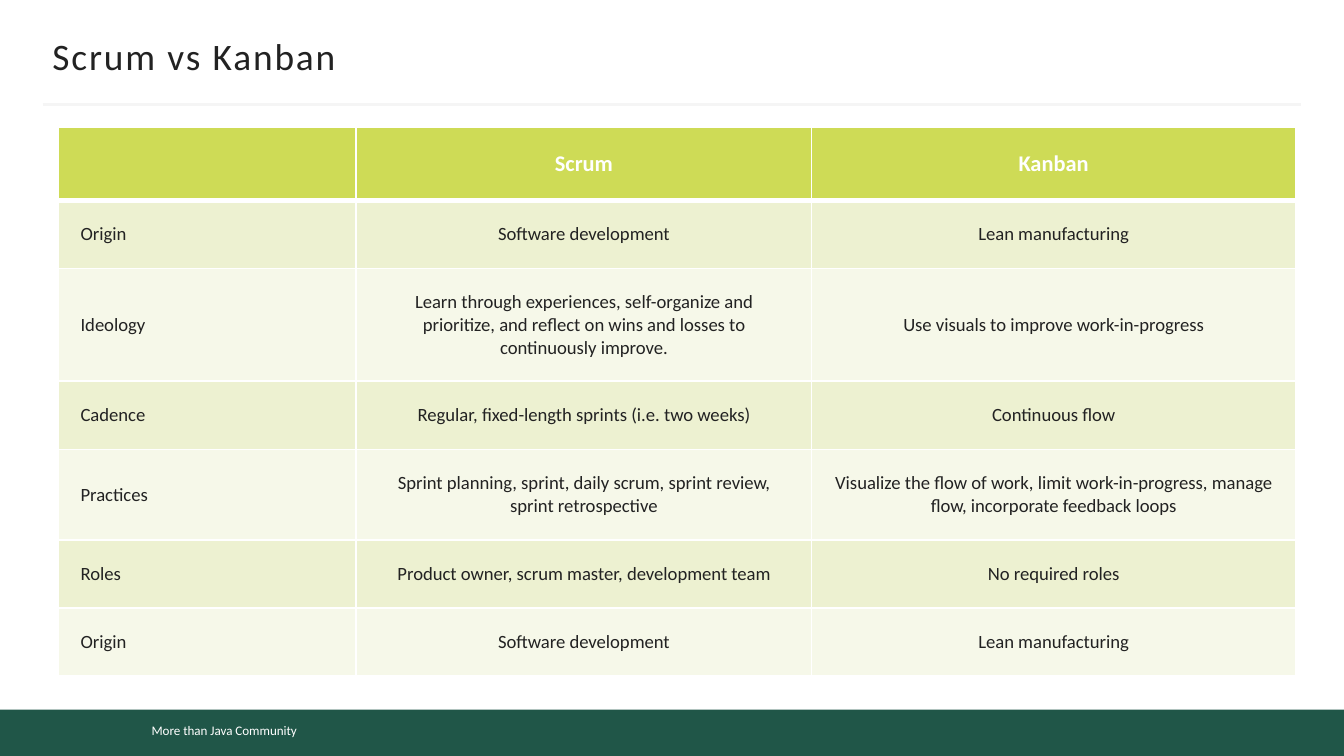
import dataclasses

import pptx
import pptx.dml.color
import pptx.enum.shapes
import pptx.enum.text
import pptx.oxml.ns
import pptx.util
from lxml import etree


@dataclasses.dataclass(frozen=True)
class Theme:
    font: str = "Calibri"
    ink: str = "222222"
    white: str = "FFFFFF"
    rule: str = "F5F5F5"
    footer: str = "205648"
    header: str = "CEDB56"
    bands: tuple = ("EDF1D1", "F6F8E9")
    title_size: int = 20
    header_size: int = 12
    body_size: int = 10
    footer_size: int = 7
    thin: float = 1
    medium: float = 1.5
    thick: float = 3
    unit: float = 0.1
    cell_inset: float = 1.7


class SlideBuilder:
    def __init__(self, deck, theme):
        self.theme = theme
        self.page = deck.slides.add_slide(deck.slide_layouts[6])

    def grid(self, *lengths):
        return [pptx.util.Inches(length * self.theme.unit) for length in lengths]

    def color(self, value):
        return pptx.dml.color.RGBColor.from_string(value)

    def format_text(self, frame, size, color, bold=False, spacing=0, align=None):
        for para in frame.paragraphs:
            para.alignment = align
            for span in para.runs:
                span.font.name = self.theme.font
                span.font.size = pptx.util.Pt(size)
                span.font.bold = bold
                span.font.color.rgb = self.color(color)
                if spacing:
                    span.font._element.set("spc", str(spacing * 100))

    def bar(self, area, fill):
        shape = self.page.shapes.add_shape(
            pptx.enum.shapes.MSO_SHAPE.RECTANGLE, *self.grid(*area))
        shape.shadow.inherit = False
        shape.fill.solid()
        shape.fill.fore_color.rgb = self.color(fill)
        shape.line.fill.background()

    def text(self, area, words, size, color, inset=1, spacing=0,
             anchor=pptx.enum.text.MSO_ANCHOR.TOP):
        box = self.page.shapes.add_textbox(*self.grid(*area))
        frame = box.text_frame
        frame.word_wrap = True
        frame.vertical_anchor = anchor
        frame.margin_left, frame.margin_right = self.grid(inset, inset)
        frame.text = words
        self.format_text(frame, size, color, spacing=spacing)

    def line(self, ends, color, width):
        rule = self.page.shapes.add_connector(
            pptx.enum.shapes.MSO_CONNECTOR.STRAIGHT, *self.grid(*ends))
        rule.line.color.rgb = self.color(color)
        rule.line.width = pptx.util.Pt(width)
        etree.SubElement(rule._element.spPr, pptx.oxml.ns.qn("a:effectLst"))

    def borders(self, cell, top, bottom):
        properties = cell._tc.get_or_add_tcPr()
        thin = self.theme.thin
        for side, width in (("L", thin), ("R", thin), ("T", top), ("B", bottom)):
            edge = etree.SubElement(properties, pptx.oxml.ns.qn(f"a:ln{side}"),
                                    w=str(pptx.util.Pt(width)))
            fill = etree.SubElement(edge, pptx.oxml.ns.qn("a:solidFill"))
            etree.SubElement(fill, pptx.oxml.ns.qn("a:srgbClr"), val=self.theme.white)

    def cell(self, cell, words, row, column):
        theme = self.theme
        is_header = row == 0
        self.borders(cell, theme.thick if row == 1 else theme.thin,
                     theme.thick if is_header else theme.thin)
        cell.fill.solid()
        cell.fill.fore_color.rgb = self.color(
            theme.header if is_header else theme.bands[(row - 1) % 2])
        if not words:
            return
        inset, = self.grid(theme.cell_inset)
        cell.margin_left = cell.margin_right = inset
        cell.margin_top = cell.margin_bottom = inset
        cell.vertical_anchor = pptx.enum.text.MSO_ANCHOR.MIDDLE
        cell.text_frame.text = words
        aligns = pptx.enum.text.PP_ALIGN
        self.format_text(
            cell.text_frame,
            theme.header_size if is_header else theme.body_size,
            theme.white if is_header else theme.ink,
            bold=is_header, align=aligns.CENTER if column else aligns.LEFT)

    def table(self, left, top, widths, heights, rows):
        area = self.grid(left, top, sum(widths), sum(heights))
        table = self.page.shapes.add_table(len(rows), len(widths), *area).table
        for column, width in zip(table.columns, self.grid(*widths)):
            column.width = width
        for line, height in zip(table.rows, self.grid(*heights)):
            line.height = height
        for row, entries in enumerate(rows):
            for column, words in enumerate(entries):
                self.cell(table.cell(row, column), words, row, column)


COMPARISON = [
    ("", "Scrum", "Kanban"),
    ("Origin", "Software development", "Lean manufacturing"),
    ("Ideology",
     "Learn through experiences, self-organize and prioritize, "
     "and reflect on wins and losses to continuously improve.",
     "Use visuals to improve work-in-progress"),
    ("Cadence", "Regular, fixed-length sprints (i.e. two weeks)", "Continuous flow"),
    ("Practices",
     "Sprint planning, sprint, daily scrum, sprint review, sprint retrospective",
     "Visualize the flow of work, limit work-in-progress, manage flow, "
     "incorporate feedback loops"),
    ("Roles", "Product owner, scrum master, development team", "No required roles"),
    ("Origin", "Software development", "Lean manufacturing"),
]


def main():
    theme = Theme()
    deck = pptx.Presentation()
    deck.slide_width = pptx.util.Inches(100 * theme.unit)
    deck.slide_height = pptx.util.Inches(56.25 * theme.unit)
    slide = SlideBuilder(deck, theme)
    slide.bar((0, 52.8, 100, 3.45), theme.footer)
    slide.text((10.3, 53.3, 26.5, 2.2), "More than Java Community",
               theme.footer_size, theme.white)
    slide.line((3.2, 7.8, 96.8, 7.8), theme.rule, theme.medium)
    slide.text((3.9, 2.5, 92.2, 3.3), "Scrum vs Kanban", theme.title_size, theme.ink,
               inset=0, spacing=1, anchor=pptx.enum.text.MSO_ANCHOR.MIDDLE)
    slide.table(4.3, 9.5, (22.2, 33.9, 36), (5.3, 5, 8.4, 5, 6.7, 5, 5), COMPARISON)
    deck.save("out.pptx")


if __name__ == "__main__":
    main()
